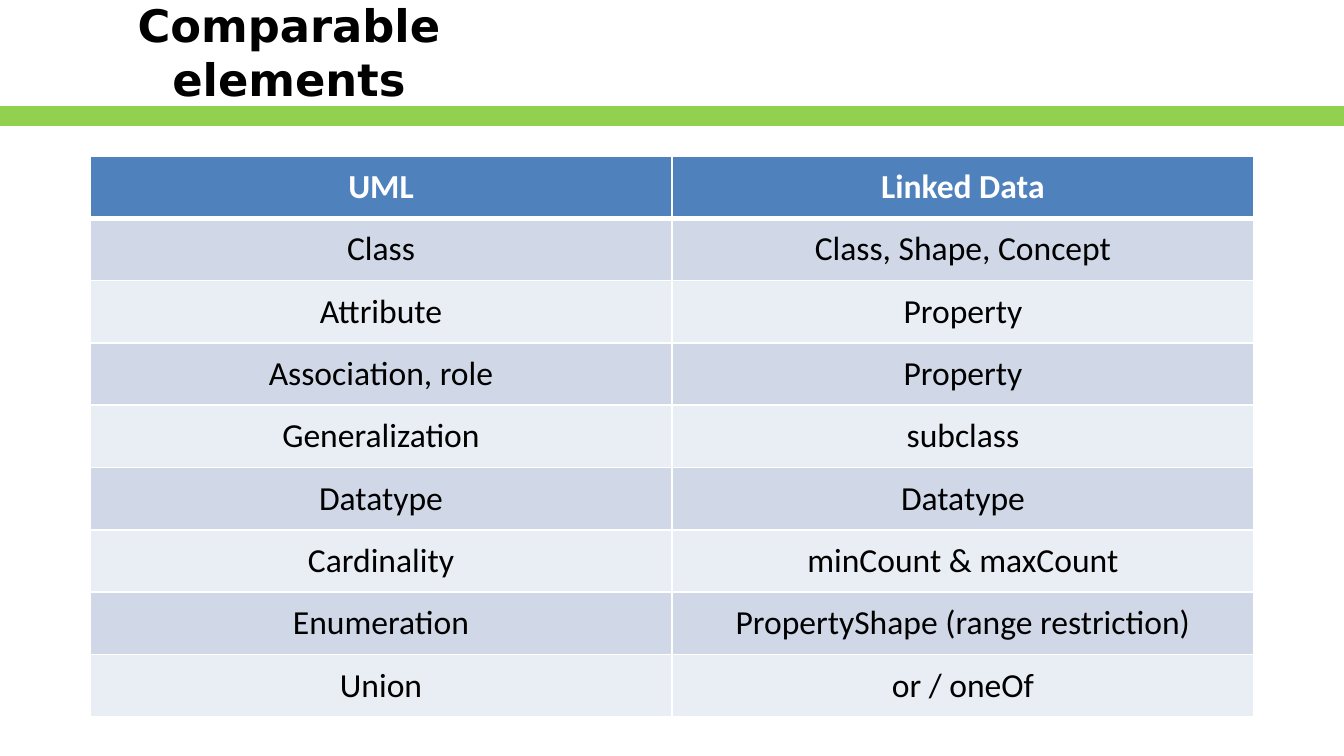
from dataclasses import dataclass

from lxml import etree
from pptx import Presentation
from pptx.dml.color import RGBColor
from pptx.enum.shapes import MSO_SHAPE
from pptx.enum.text import MSO_ANCHOR, PP_ALIGN
from pptx.oxml.ns import qn
from pptx.util import Pt

RECTANGLE = MSO_SHAPE.RECTANGLE
CENTER = PP_ALIGN.CENTER
MIDDLE = MSO_ANCHOR.MIDDLE

EMU_PER_PX = 4572  # 200 px to the inch
SLIDE_WIDTH, SLIDE_HEIGHT = 2000, 1125
BLANK_LAYOUT = 6

COMPARISON = [
    ("UML", "Linked Data"),
    ("Class", "Class, Shape, Concept"),
    ("Attribute", "Property"),
    ("Association, role", "Property"),
    ("Generalization", "subclass"),
    ("Datatype", "Datatype"),
    ("Cardinality", "minCount & maxCount"),
    ("Enumeration", "PropertyShape (range restriction)"),
    ("Union", "or / oneOf"),
]


@dataclass(frozen=True)
class Theme:
    title_font: str = "DejaVu Sans"
    body_font: str = "Calibri"
    title_size: int = 24
    body_size: int = 18
    ink: str = "000000"
    paper: str = "FFFFFF"
    accent: str = "92D050"
    header: str = "4F81BD"
    bands: tuple = ("D0D8E8", "E9EDF4")
    accent_line: int = 2
    grid_line: int = 1
    header_rule: int = 3


def px(length):
    return length * EMU_PER_PX


def rgb(color):
    return RGBColor.from_string(color)


def write_text(frame, text, *, font, size, color, bold=False, align=CENTER):
    paragraph = frame.paragraphs[0]
    paragraph.alignment = align
    run = paragraph.add_run()
    run.text = text
    run.font.name = font
    run.font.size = Pt(size)
    run.font.bold = bold
    run.font.color.rgb = rgb(color)


def set_borders(cell, color, **widths):
    """Draw cell edges; widths maps L, R, T, B (in that order) to points."""
    properties = cell._tc.get_or_add_tcPr()
    for side, width in widths.items():
        line = etree.SubElement(properties, qn(f"a:ln{side}"), w=str(Pt(width)))
        fill = etree.SubElement(line, qn("a:solidFill"))
        etree.SubElement(fill, qn("a:srgbClr"), val=color)


class SlideBuilder:
    def __init__(self, slide, theme):
        self.slide = slide
        self.theme = theme

    def divider(self, left, top, width, height):
        theme = self.theme
        band = self.slide.shapes.add_shape(
            RECTANGLE, px(left), px(top), px(width), px(height))
        band.shadow.inherit = False
        band.fill.solid()
        band.fill.fore_color.rgb = rgb(theme.accent)
        band.line.color.rgb = rgb(theme.accent)
        band.line.width = Pt(theme.accent_line)

    def title(self, text, left, top, width, height):
        theme = self.theme
        heading = self.slide.shapes.add_textbox(
            px(left), px(top), px(width), px(height))
        frame = heading.text_frame
        frame.word_wrap = True
        frame.vertical_anchor = MIDDLE
        write_text(frame, text, font=theme.title_font, size=theme.title_size,
                   color=theme.ink, bold=True)

    def table(self, rows, left, top, width, height):
        grid = self.slide.shapes.add_table(
            len(rows), len(rows[0]), px(left), px(top), px(width), px(height)).table
        for row_index, row in enumerate(rows):
            for column_index, text in enumerate(row):
                self.table_cell(grid.cell(row_index, column_index), text, row_index)

    def table_cell(self, cell, text, row_index):
        theme = self.theme
        is_header = row_index == 0
        thin, thick = theme.grid_line, theme.header_rule
        set_borders(cell, theme.paper, L=thin, R=thin,
                    T=thick if row_index == 1 else thin,
                    B=thick if is_header else thin)
        cell.fill.solid()
        cell.fill.fore_color.rgb = rgb(
            theme.header if is_header else theme.bands[(row_index - 1) % 2])
        cell.vertical_anchor = MIDDLE
        write_text(cell.text_frame, text, font=theme.body_font,
                   size=theme.body_size, bold=is_header,
                   color=theme.paper if is_header else theme.ink)


def main():
    presentation = Presentation()
    presentation.slide_width = px(SLIDE_WIDTH)
    presentation.slide_height = px(SLIDE_HEIGHT)
    slide = presentation.slides.add_slide(presentation.slide_layouts[BLANK_LAYOUT])

    builder = SlideBuilder(slide, Theme())
    builder.divider(0, 160, SLIDE_WIDTH, 25)
    builder.title("Comparable elements", 2, 0, 856, 154)
    builder.table(COMPARISON, 134, 232, 1732, 835)

    presentation.save("out.pptx")


if __name__ == "__main__":
    main()
